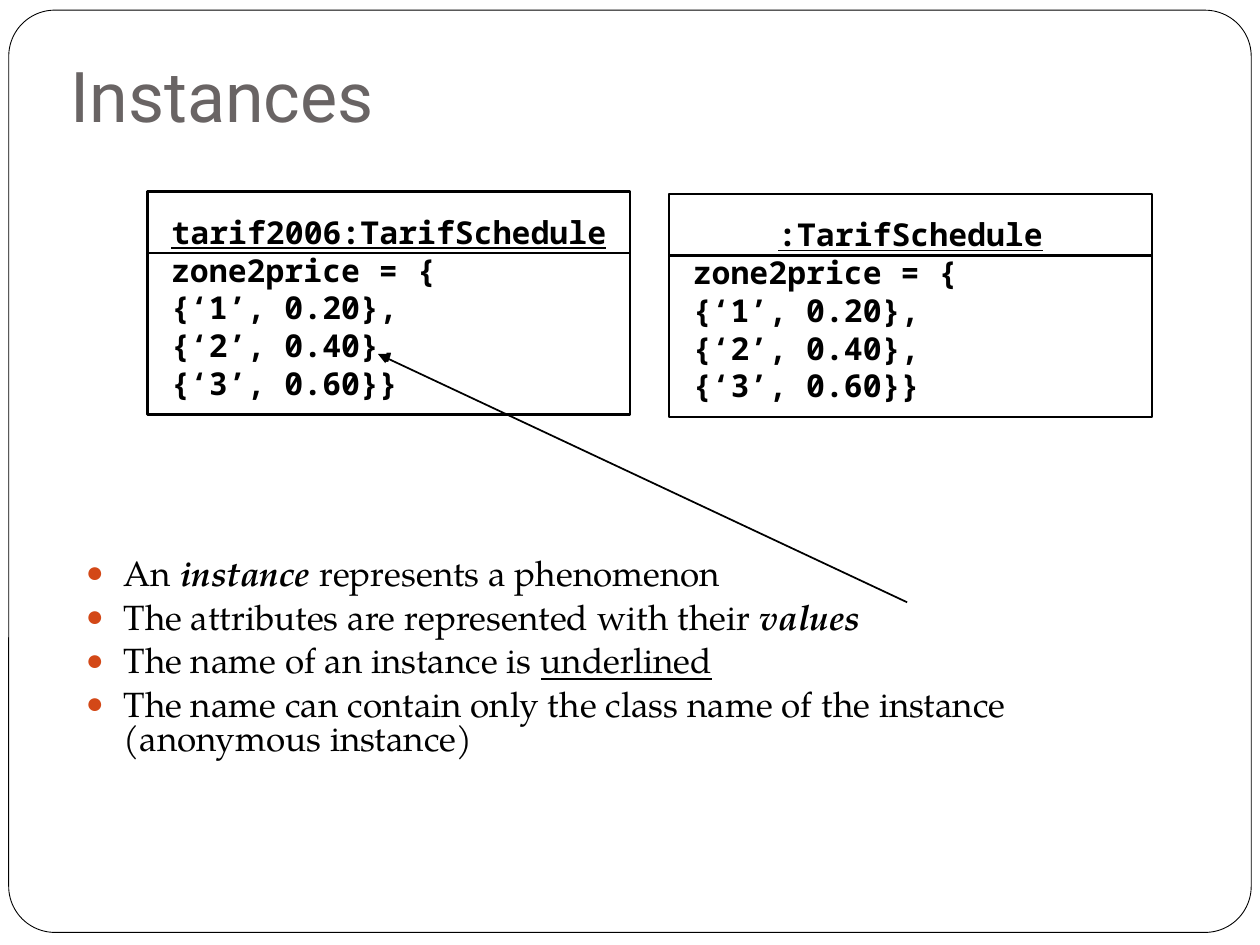
from lxml import etree
from pptx import Presentation
from pptx.dml.color import RGBColor
from pptx.enum.shapes import MSO_CONNECTOR, MSO_SHAPE
from pptx.enum.text import MSO_ANCHOR, MSO_AUTO_SIZE, PP_ALIGN
from pptx.oxml.ns import qn
from pptx.util import Pt

RECTANGLE = MSO_SHAPE.RECTANGLE
ROUNDED = MSO_SHAPE.ROUNDED_RECTANGLE
STRAIGHT = MSO_CONNECTOR.STRAIGHT
TOP, BOTTOM = MSO_ANCHOR.TOP, MSO_ANCHOR.BOTTOM
LEFT, CENTER = PP_ALIGN.LEFT, PP_ALIGN.CENTER
NO_FIT = MSO_AUTO_SIZE.NONE

BLACK = RGBColor(0x00, 0x00, 0x00)
WHITE = RGBColor(0xFF, 0xFF, 0xFF)
GRAY = RGBColor(0x69, 0x64, 0x64)
BULLET_COLOR = RGBColor(0xD3, 0x48, 0x17)
TITLE_FONT, BODY_FONT, CODE_FONT = "Roboto", "TeX Gyre Pagella", "Noto Sans Mono"

BOX_WIDTH, NAME_HEIGHT, VALUES_HEIGHT = 275.8, 35.2, 92.2
INSTANCES = [
    ("tarif2006:TarifSchedule", 84.3, 109.5),
    (":TarifSchedule", 382.4, 110.9),
]
# Each inner list is a paragraph; its items are separated by line breaks.
VALUES = [
    ["zone2price = {"],
    ["{‘1’, 0.20},", "{‘2’, 0.40},"],
    ["{‘3’, 0.60}}"],
]
BULLETS = [
    [("An ", ""), ("instance", "bi"), (" represents a phenomenon", "")],
    [("The attributes are represented with their ", ""), ("values", "bi")],
    [("The name of an instance is ", ""), ("underlined", "u")],
    [("The name can contain only the class name of the instance "
      "(anonymous instance)", "")],
]


def place(shape, left, top, width, height):
    """Set position and size in points."""
    shape.left, shape.top = Pt(left), Pt(top)
    shape.width, shape.height = Pt(width), Pt(height)


def set_frame(shape, anchor, margins, wrap=True):
    """Set anchor, margins (left, top, right, bottom) and wrapping."""
    frame = shape.text_frame
    frame.auto_size = NO_FIT
    frame.word_wrap = wrap
    frame.vertical_anchor = anchor
    (frame.margin_left, frame.margin_top,
     frame.margin_right, frame.margin_bottom) = map(Pt, margins)
    return frame


def add_run(paragraph, text, font_name, size, color, style=""):
    """Add a run; style letters are b (bold), i (italic), u (underline)."""
    run = paragraph.add_run()
    run.text = text
    font = run.font
    font.name, font.size = font_name, Pt(size)
    font.color.rgb = color
    font.bold, font.italic, font.underline = (key in style for key in "biu")


def add_box(shapes, kind, left, top, width, height, line_width, fill=None):
    """Add a black-outlined shape, filled or see-through."""
    box = shapes.add_shape(kind, Pt(left), Pt(top), Pt(width), Pt(height))
    box.shadow.inherit = False
    if fill is None:
        box.fill.background()
    else:
        box.fill.solid()
        box.fill.fore_color.rgb = fill
    box.line.color.rgb = BLACK
    box.line.width = Pt(line_width)
    return box


def add_border(slide):
    """Add the rounded page border behind everything else."""
    border = add_box(slide.shapes, ROUNDED, 5, 5.8, 710, 527, 0.5, WHITE)
    border.adjustments[0] = 0.05
    slide.shapes.element.insert(2, border.element)


def add_title(slide, text):
    """Fill the title placeholder."""
    title = slide.shapes.title
    place(title, 33.1, 17.3, 642.2, 67.7)
    paragraph = set_frame(title, BOTTOM, (7.2, 3.6, 7.2, 7.2)).paragraphs[0]
    paragraph.alignment = LEFT
    add_run(paragraph, text, TITLE_FONT, 40, GRAY)


def format_bullet(paragraph):
    """Give a paragraph its round coloured bullet and hanging indent."""
    properties = paragraph._p.get_or_add_pPr()
    properties.set("marL", str(Pt(21.6)))
    properties.set("indent", str(Pt(-21.6)))
    color = etree.SubElement(properties, qn("a:buClr"))
    etree.SubElement(color, qn("a:srgbClr"), val=str(BULLET_COLOR))
    etree.SubElement(properties, qn("a:buSzPct"), val="85000")
    etree.SubElement(properties, qn("a:buChar"), char="●")


def add_bullets(slide, bullets):
    """Fill the body placeholder with the bullet list."""
    body = slide.placeholders[1]
    place(body, 41.8, 316.1, 630, 77.8)
    frame = set_frame(body, TOP, (7.2, 3.6, 7.2, 3.6))
    for index, runs in enumerate(bullets):
        paragraph = frame.add_paragraph() if index else frame.paragraphs[0]
        paragraph.alignment = LEFT
        paragraph.line_spacing = 0.8
        paragraph.space_before = Pt(5.8)
        format_bullet(paragraph)
        for text, style in runs:
            add_run(paragraph, text, BODY_FONT, 20, BLACK, style)


def add_instance(slide, name, left, top):
    """Add an instance: name compartment above its attribute values."""
    shapes = slide.shapes.add_group_shape().shapes
    values = shapes.add_textbox(Pt(left + 6.4), Pt(top + 30.2), Pt(273.6), Pt(93.6))
    frame = set_frame(values, TOP, (7.2, 3.6, 7.2, 3.6))
    for index, lines in enumerate(VALUES):
        paragraph = frame.add_paragraph() if index else frame.paragraphs[0]
        for number, line in enumerate(lines):
            if number:
                paragraph.add_line_break()
            add_run(paragraph, line, CODE_FONT, 18, BLACK, "b")

    add_box(shapes, RECTANGLE, left, top, BOX_WIDTH, NAME_HEIGHT, 1.25)
    label = shapes.add_textbox(Pt(left), Pt(top + 12), Pt(BOX_WIDTH), Pt(21.6))
    paragraph = set_frame(label, TOP, (0, 0, 0, 0), wrap=False).paragraphs[0]
    paragraph.alignment = CENTER
    add_run(paragraph, name, CODE_FONT, 18, BLACK, "bu")
    add_box(shapes, RECTANGLE, left, top + NAME_HEIGHT, BOX_WIDTH, VALUES_HEIGHT, 1.25)


def add_arrow(slide, start, end):
    """Add a black arrow that points at its end."""
    arrow = slide.shapes.add_connector(STRAIGHT, *map(Pt, start + end))
    arrow.line.color.rgb = BLACK
    arrow.line.width = Pt(1)
    etree.SubElement(arrow.line._get_or_add_ln(), qn("a:tailEnd"), type="triangle")
    etree.SubElement(arrow.element.spPr, qn("a:effectLst"))


def main():
    """Build the slide and save it."""
    presentation = Presentation()
    presentation.slide_width, presentation.slide_height = Pt(720), Pt(540)
    slide = presentation.slides.add_slide(presentation.slide_layouts[1])
    add_border(slide)
    add_title(slide, "Instances")
    add_bullets(slide, BULLETS)
    for name, left, top in INSTANCES:
        add_instance(slide, name, left, top)
    add_arrow(slide, (518.4, 344.2), (216, 202.3))
    presentation.save("out.pptx")


main()
